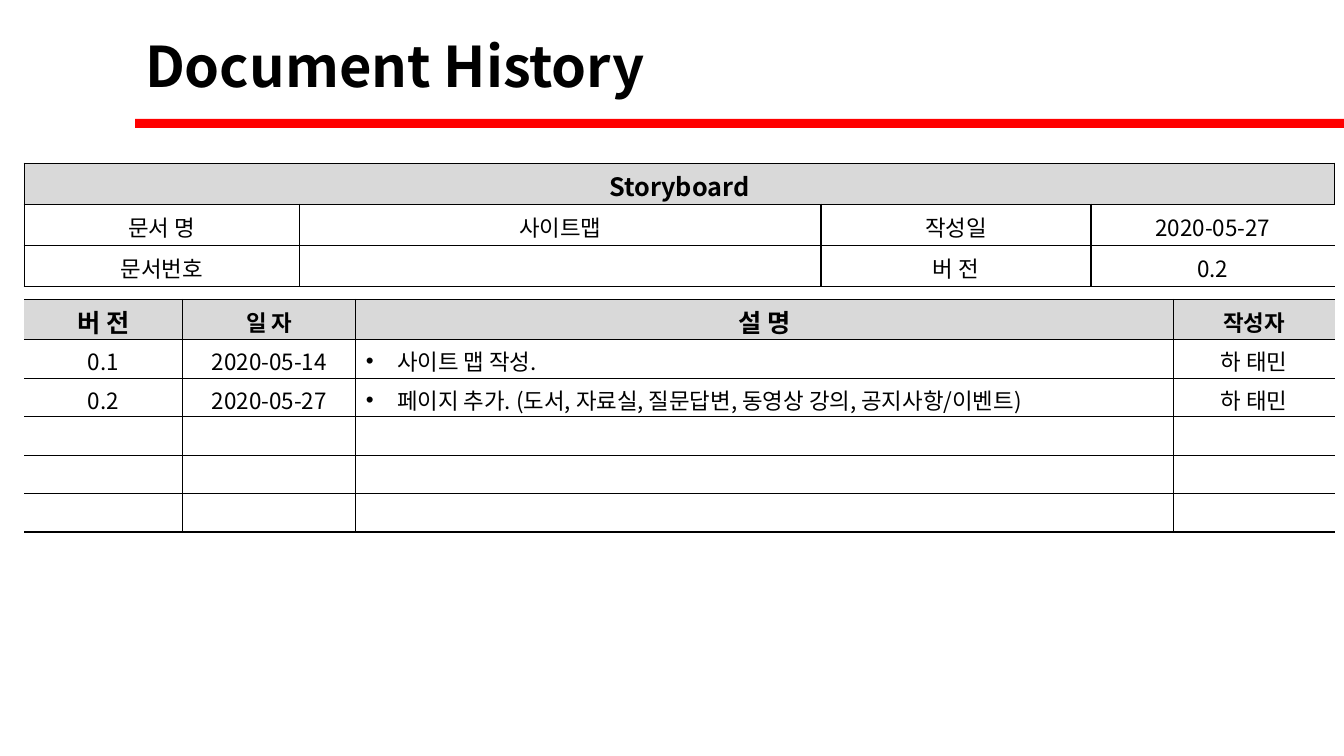
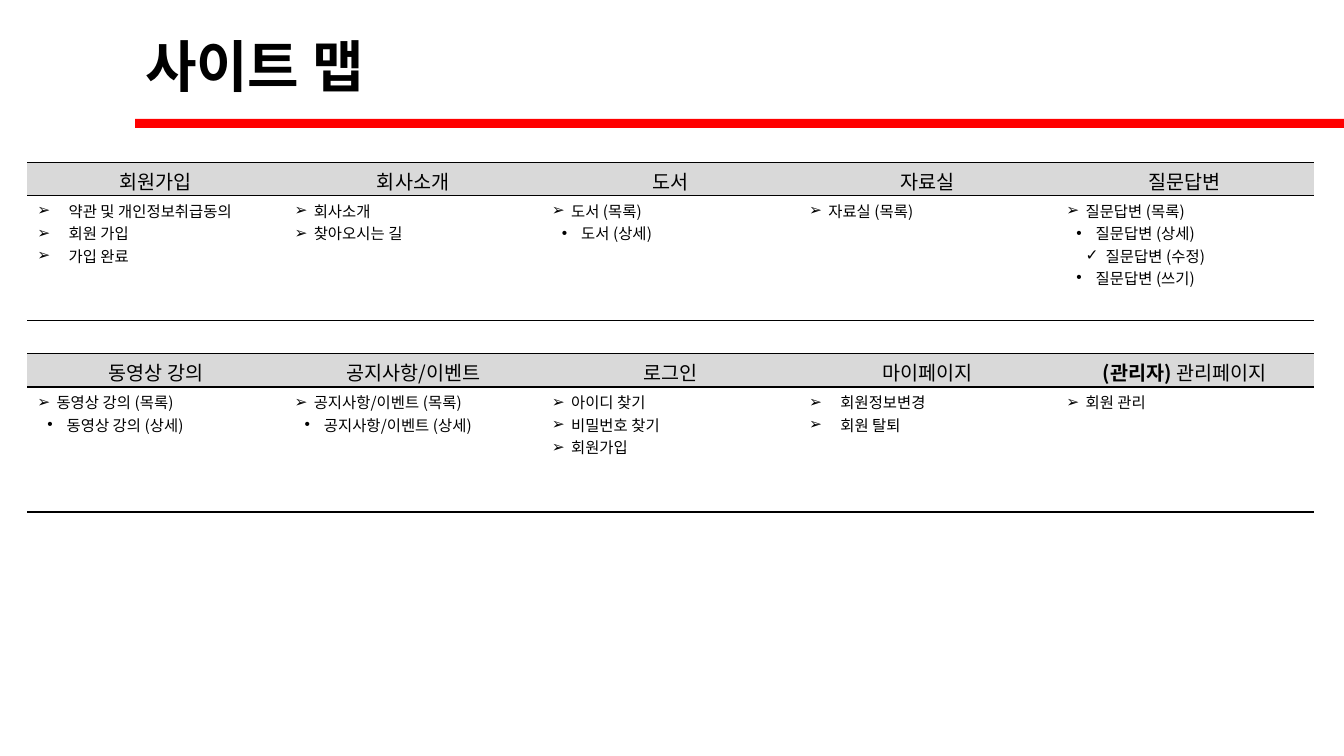
from collections import namedtuple
from functools import partial

from lxml import etree
from pptx import Presentation
from pptx import util as u
from pptx.dml.color import RGBColor
from pptx.enum import shapes, text
from pptx.oxml.ns import qn

THEME = {
    "font": "Noto Sans CJK KR",
    "ink": RGBColor.from_string("000000"),
    "red": RGBColor.from_string("FF0000"),
    "gray": RGBColor.from_string("D9D9D9"),
    "title": 40, "head": 18, "body": 16, "menu": 14, "item": 11,
    "line": 1,
}
WIDE, HIGH = u.Inches(13.33), u.Inches(7.5)

# Bullet sign, left indent and hanging indent in inches
MARKS = {
    "point": ("•", 0.31, 0.31),
    "wide": ("➢", 0.31, 0.31),
    "top": ("➢", 0.19, 0.19),
    "sub": ("•", 0.29, 0.19),
    "deep": ("✓", 0.39, 0.20),
}
Item = namedtuple("Item", "text mark")
point, wide, top, sub, deep = (partial(Item, mark=m) for m in MARKS)


def area(x, y, w, h):
    """Turn percentages of the slide into a box."""
    return [int(n * side / 100) for n, side in zip((x, y, w, h), (WIDE, HIGH) * 2)]


def share(total, parts):
    return [int(total * p / sum(parts)) for p in parts]


def write(para, words, size, bold=False):
    run = para.add_run()
    run.text = words
    look = {"name": THEME["font"], "size": u.Pt(size), "bold": bold}
    for key, val in look.items():
        setattr(run.font, key, val)
    run.font.color.rgb = THEME["ink"]
    face = etree.SubElement(run._r.get_or_add_rPr(), qn("a:ea"))
    face.set("typeface", THEME["font"])


def mark_up(para, mark):
    sign, left, hang = MARKS[mark]
    props = para._p.get_or_add_pPr()
    props.set("marL", str(u.Inches(left)))
    props.set("indent", str(-u.Inches(hang)))
    etree.SubElement(props, qn("a:buFont")).set("typeface", "Arial")
    etree.SubElement(props, qn("a:buChar")).set("char", sign)


def edge(cell, sides):
    """Draw the named sides of a cell and hide the others."""
    props = cell._tc.get_or_add_tcPr()
    for side in "LRTB":
        line = etree.SubElement(props, qn("a:ln" + side))
        if side in sides:
            line.set("w", str(u.Pt(THEME["line"])))
            fill = etree.SubElement(line, qn("a:solidFill"))
            etree.SubElement(fill, qn("a:srgbClr")).set("val", str(THEME["ink"]))
        else:
            etree.SubElement(line, qn("a:noFill"))


def fill_cell(cell, items, size, bold):
    """Write plain strings centred, (words, bold) pairs as runs, items as bullets."""
    if isinstance(items, str):
        items = [[(items, bold)]] if items else []
    for n, item in enumerate(items):
        frame = cell.text_frame
        para = frame.add_paragraph() if n else frame.paragraphs[0]
        if isinstance(item, Item):
            mark_up(para, item.mark)
            write(para, item.text, size)
        else:
            para.alignment = text.PP_ALIGN.CENTER
            for words, heavy in item:
                write(para, words, size, heavy)


def grid(slide, box, cols, rows, cells, sizes, bold=False, sides="TB",
         inner=True, closed=False, anchor=text.MSO_ANCHOR.MIDDLE):
    """Place a table whose first row is a gray head; sizes gives head and body."""
    table = slide.shapes.add_table(len(rows), len(cols), *box).table
    table.first_row = table.horz_banding = False
    for col, size in zip(table.columns, share(box[2], cols)):
        col.width = size
    for row, size in zip(table.rows, share(box[3], rows)):
        row.height = size
    pads = {"margin_top": u.Inches(0.04), "margin_bottom": 0}
    last = len(cols) - 1
    for r, line in enumerate(cells):
        for c, items in enumerate(line):
            cell = table.cell(r, c)
            for key, val in pads.items():
                setattr(cell, key, val)
            cell.vertical_anchor = anchor if r else text.MSO_ANCHOR.MIDDLE
            left = "L" if closed or (inner and c) else ""
            right = "R" if inner and c < last else ""
            edge(cell, sides + left + right)
            if r:
                cell.fill.background()
            else:
                cell.fill.solid()
                cell.fill.fore_color.rgb = THEME["gray"]
            size = sizes[c] if r == 0 and len(sizes) == len(cols) else sizes[min(r, 1)]
            fill_cell(cell, items, size, bold and r == 0)
    return table


def page(deck, name):
    """Add a slide with its title and red band."""
    slide = deck.slides.add_slide(deck.slide_layouts[6])
    band = slide.shapes.add_shape(shapes.MSO_SHAPE.RECTANGLE,
                                  *area(10.05, 15.73, 89.95, 1.2))
    band.shadow.inherit = False
    band.fill.solid()
    band.fill.fore_color.rgb = THEME["red"]
    band.line.fill.background()
    frame = slide.shapes.add_textbox(*area(10.05, 3.47, 38.93, 10.27)).text_frame
    look = {"word_wrap": True, "vertical_anchor": text.MSO_ANCHOR.MIDDLE}
    for key, val in look.items():
        setattr(frame, key, val)
    write(frame.paragraphs[0], name, THEME["title"], True)
    return slide


def history(deck):
    slide = page(deck, "Document History")
    head, body = THEME["head"], THEME["body"]
    about = [
        ["Storyboard", "", "", ""],
        ["문서 명", "사이트맵", "작성일", "2020-05-27"],
        ["문서번호", "", "버 전", "0.2"],
    ]
    table = grid(slide, area(1.8, 21.6, 97.52, 16.27), (21, 39.8, 20.6, 18.6),
                 (1, 1, 1), about, (head, body), bold=True, closed=True)
    table.cell(0, 0).merge(table.cell(0, 3))
    log = [
        ["버 전", "일 자", "설 명", "작성자"],
        ["0.1", "2020-05-14", [point("사이트 맵 작성.")], "하 태민"],
        ["0.2", "2020-05-27",
         [point("페이지 추가. (도서, 자료실, 질문답변, 동영상 강의, 공지사항/이벤트)")],
         "하 태민"],
    ] + [[""] * 4] * 3
    grid(slide, area(1.8, 39.6, 97.52, 30.8), (12.1, 13.2, 62.4, 12.3),
         (1.05, 1, 1, 1, 1, 1), log, (head, body, head, body), bold=True)


def sitemap(deck):
    slide = page(deck, "사이트 맵")
    first = [
        ["회원가입", "회사소개", "도서", "자료실", "질문답변"],
        [
            [wide("약관 및 개인정보취급동의"), wide("회원 가입"), wide("가입 완료")],
            [top("회사소개"), top("찾아오시는 길")],
            [top("도서 (목록)"), sub("도서 (상세)")],
            [top("자료실 (목록)")],
            [top("질문답변 (목록)"), sub("질문답변 (상세)"),
             deep("질문답변 (수정)"), sub("질문답변 (쓰기)")],
        ],
    ]
    second = [
        ["동영상 강의", "공지사항/이벤트", "로그인", "마이페이지",
         [[("(관리자) ", True), ("관리페이지", False)]]],
        [
            [top("동영상 강의 (목록)"), sub("동영상 강의 (상세)")],
            [top("공지사항/이벤트 (목록)"), sub("공지사항/이벤트 (상세)")],
            [top("아이디 찾기"), top("비밀번호 찾기"), top("회원가입")],
            [wide("회원정보변경"), wide("회원 탈퇴")],
            [top("회원 관리")],
        ],
    ]
    for y, cells in ((21.47, first), (46.8, second)):
        grid(slide, area(2.03, y, 95.72, 20.93), [1] * 5, (0.21, 0.79), cells,
             (THEME["menu"], THEME["item"]), inner=False,
             anchor=text.MSO_ANCHOR.TOP)


def main():
    deck = Presentation()
    deck.slide_width, deck.slide_height = WIDE, HIGH
    history(deck)
    sitemap(deck)
    deck.save("out.pptx")


if __name__ == "__main__":
    main()
